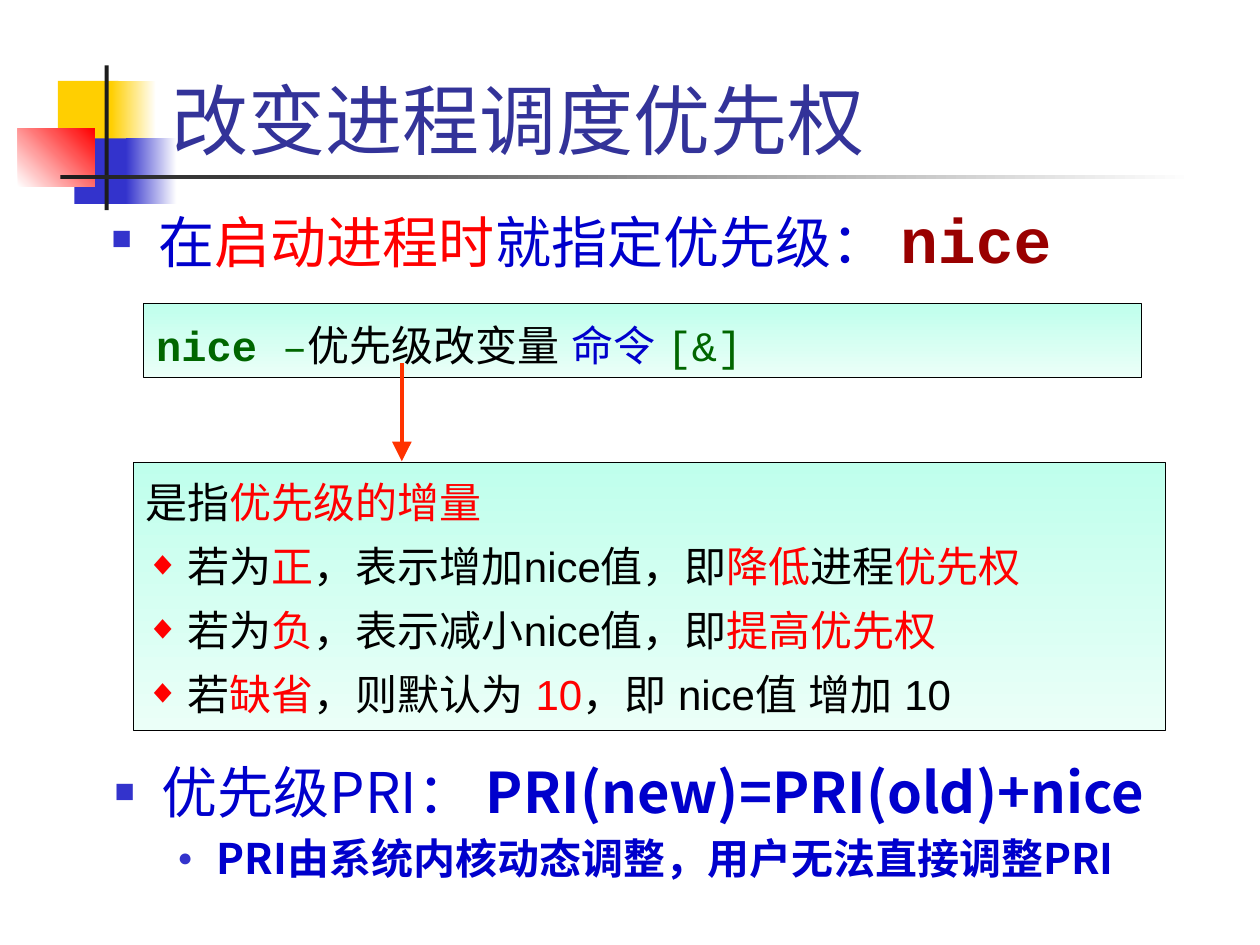
from lxml import etree
from pptx import Presentation
from pptx.dml.color import RGBColor
from pptx.enum.lang import MSO_LANGUAGE_ID
from pptx.enum.shapes import MSO_CONNECTOR, MSO_SHAPE
from pptx.enum.text import MSO_ANCHOR, PP_ALIGN
from pptx.oxml.ns import qn
from pptx.util import Cm, Pt

RECT = MSO_SHAPE.RECTANGLE
LINE = MSO_CONNECTOR.STRAIGHT
LEFT = PP_ALIGN.LEFT
TOP, BOTTOM = MSO_ANCHOR.TOP, MSO_ANCHOR.BOTTOM
CHINESE = MSO_LANGUAGE_ID.SIMPLIFIED_CHINESE

WHITE = RGBColor(0xFF, 0xFF, 0xFF)
BLACK = RGBColor(0x00, 0x00, 0x00)
GOLD = RGBColor(0xFF, 0xCF, 0x01)
INDIGO = RGBColor(0x33, 0x33, 0xCC)
NAVY = RGBColor(0x33, 0x33, 0x99)
BLUE = RGBColor(0x00, 0x00, 0xCC)
RED = RGBColor(0xFF, 0x00, 0x00)
MAROON = RGBColor(0x99, 0x00, 0x00)
GREEN = RGBColor(0x00, 0x66, 0x00)
ORANGE = RGBColor(0xFF, 0x33, 0x00)
INK = RGBColor(0x1C, 0x1C, 0x1C)
MINT = RGBColor(0xBF, 0xFF, 0xEC)
PALE = RGBColor(0xEB, 0xFF, 0xF8)

SANS, ARIAL = "Noto Sans CJK SC", "Arial"
COURIER, TIMES = "Courier New", "Times New Roman"

HEAD = {"size": Pt(32), "name": SANS, "bold": False}
SUB = {"size": Pt(24), "name": SANS, "bold": True}
CODE = {"size": Pt(24), "name": COURIER, "bold": False}
NOTE = {"size": Pt(24), "name": ARIAL, "bold": False}
TITLE = {"size": Pt(44), "name": TIMES, "bold": False}
STRONG = {"bold": True}
PLAIN = {"name": ARIAL}

SQUARE = ("■", INDIGO, 60, 0.95, 0.95)
DOT = ("●", INDIGO, 60, 2.06, 0.79)
GEM = ("◆", RED, 80, 0.85, 0.85)

BLOCKS = [
    ((1.17, 1.63, 1.22, 1.32), (GOLD,)),
    ((2.24, 1.63, 0.91, 1.32), (GOLD, WHITE, 0)),
    ((1.5, 2.79, 1.17, 1.32), (INDIGO,)),
    ((2.54, 2.79, 1.02, 1.32), (INDIGO, WHITE, 0)),
    ((0.36, 2.59, 1.55, 1.17), (WHITE, RED, 45)),
    ((2.11, 1.32, 0.08, 2.92), (INK,)),
    ((1.22, 3.53, 22.86, 0.08), (INK, WHITE, 0)),
]

RULES = [
    [("若为", BLACK), ("正", RED), ("，表示增加nice值，即", BLACK),
     ("降低", RED), ("进程", BLACK), ("优先权", RED)],
    [("若为", BLACK), ("负", RED), ("，表示减小nice值，即", BLACK),
     ("提高优先权", RED)],
    [("若", BLACK), ("缺省", RED), ("，则默认为 ", BLACK),
     ("10", RED), ("，即 nice值 增加 10", BLACK)],
]


def apply(item, values):
    for key, value in values.items():
        setattr(item, key, value)


def place(shape, at):
    keys = ("left", "top", "width", "height")
    apply(shape, dict(zip(keys, map(Cm, at))))


def paint(fill, first, last=None, angle=0):
    if last is None:
        fill.solid()
        fill.fore_color.rgb = first
        return
    fill.gradient()
    fill.gradient_angle = angle
    for stop, color in zip(fill.gradient_stops, (first, last)):
        stop.color.rgb = color


def add_block(slide, at, paints):
    shape = slide.shapes.add_shape(RECT, *map(Cm, at))
    shape.shadow.inherit = False
    paint(shape.fill, *paints)
    shape.line.fill.background()
    return shape


def add_panel(slide, at):
    shape = add_block(slide, at, (MINT, PALE, 270))
    shape.line.color.rgb = BLACK
    shape.line.width = Pt(0.75)
    return shape


def add_bullet(para, bullet):
    mark, color, size, left, hang = bullet
    props = para._p.get_or_add_pPr()
    props.set("marL", str(Cm(left)))
    props.set("indent", str(-Cm(hang)))
    tint = etree.SubElement(props, qn("a:buClr"))
    etree.SubElement(tint, qn("a:srgbClr"), val=str(color))
    etree.SubElement(props, qn("a:buSzPct"), val=str(size * 1000))
    etree.SubElement(props, qn("a:buFont"), typeface=ARIAL)
    etree.SubElement(props, qn("a:buChar"), char=mark)


def add_run(para, base, text, color, extra=None):
    run = para.add_run()
    run.text = text
    values = {**base, **(extra or {})}
    apply(run.font, {**values, "language_id": CHINESE})
    run.font.color.rgb = color
    face = etree.SubElement(run._r.get_or_add_rPr(), qn("a:ea"))
    face.set("typeface", SANS if values["name"] == TIMES else values["name"])


def write(shape, lines, anchor=TOP):
    frame = shape.text_frame
    apply(frame, {"word_wrap": True, "vertical_anchor": anchor})
    for index, (base, runs, bullet, form) in enumerate(lines):
        para = frame.add_paragraph() if index else frame.paragraphs[0]
        apply(para, {"alignment": LEFT, **form})
        if not index:
            para.space_before = Pt(0)
        if bullet:
            add_bullet(para, bullet)
        for run in runs:
            add_run(para, base, *run)


def add_text(slide, at, lines):
    write(slide.shapes.add_textbox(*map(Cm, at)), lines)


def add_arrow(slide, x, top, end):
    arrow = slide.shapes.add_connector(LINE, Cm(x), Cm(top), Cm(x), Cm(end))
    arrow.line.color.rgb = ORANGE
    arrow.line.width = Pt(2.25)
    etree.SubElement(arrow.line._get_or_add_ln(), qn("a:tailEnd"),
                     type="triangle", w="lg", len="lg")
    etree.SubElement(arrow._element.spPr, qn("a:effectLst"))


def main():
    deck = Presentation()
    apply(deck, {"slide_width": Cm(25.4), "slide_height": Cm(19.05)})
    slide = deck.slides.add_slide(deck.slide_layouts[5])
    for at, paints in BLOCKS:
        add_block(slide, at, paints)

    title = slide.shapes.title
    place(title, (3.2, 0.53, 21.64, 2.92))
    write(title, [(TITLE, [("改变进程调度优先权", NAVY)], None, {})], BOTTOM)

    start = [("在", BLUE), ("启动进程时", RED), ("就指定优先级： ", BLUE),
             ("nice", MAROON, {"size": Pt(36), "name": COURIER, "bold": True})]
    add_text(slide, (2, 3.91, 22.86, 1.88), [(HEAD, start, SQUARE, {})])

    usage = [("nice", GREEN, STRONG), (" –", GREEN),
             ("优先级改变量 ", BLACK, PLAIN), ("命令 ", BLUE, PLAIN),
             ("[&]", GREEN)]
    write(add_panel(slide, (2.9, 6.12, 20.12, 1.49)),
          [(CODE, usage, None, {"line_spacing": 1.2})])
    add_arrow(slide, 8.1, 7.32, 9.3)

    form = {"line_spacing": 1.15, "space_before": Pt(3.5)}
    lead = [("是指", BLACK), ("优先级的增量", RED)]
    lines = [(NOTE, lead, None, form)]
    lines += [(NOTE, rule, GEM, form) for rule in RULES]
    write(add_panel(slide, (2.69, 9.32, 20.8, 5.41)), lines)

    total = [("优先级PRI： ", BLUE), ("PRI(new)=PRI(old)+nice", BLUE, STRONG)]
    kernel = [("PRI由系统内核动态调整，用户无法直接调整PRI", BLUE)]
    add_text(slide, (2.06, 15.14, 22.86, 3.38),
             [(HEAD, total, SQUARE, {}),
              (SUB, kernel, DOT, {"space_before": Pt(4.8)})])
    deck.save("out.pptx")


if __name__ == "__main__":
    main()
